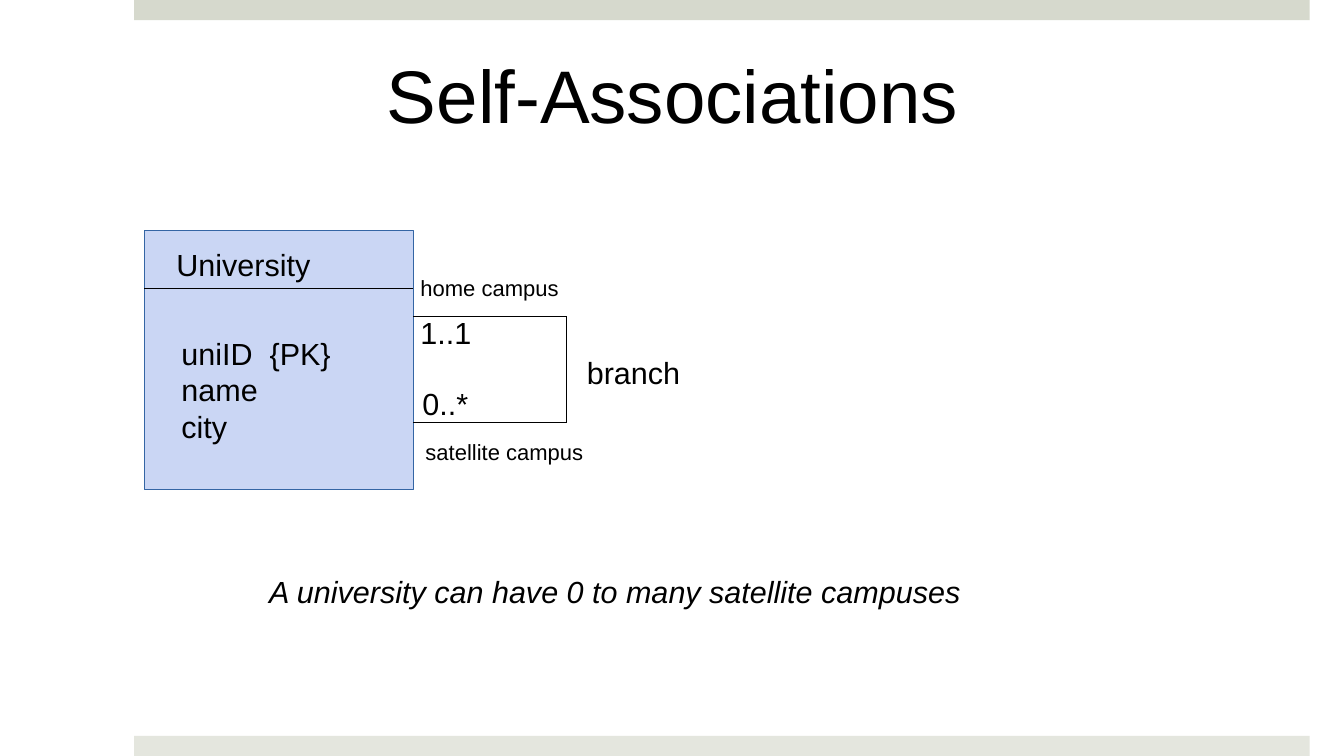
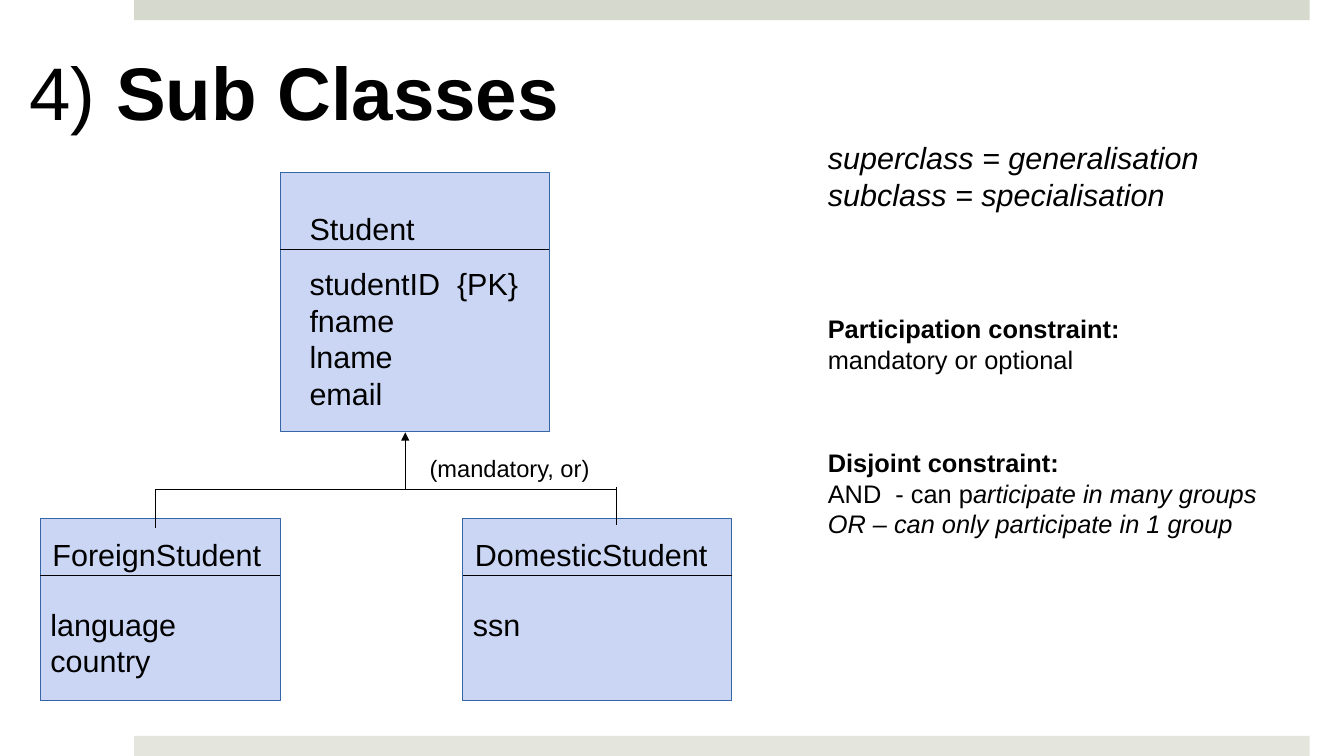
from lxml.etree import SubElement
from pptx import Presentation
from pptx.dml.color import RGBColor
from pptx.enum.shapes import MSO_CONNECTOR, MSO_SHAPE
from pptx.enum.text import MSO_ANCHOR, PP_ALIGN
from pptx.oxml.ns import qn
from pptx.util import Inches, Pt

# Shared style
BLACK = RGBColor(0x00, 0x00, 0x00)
WHITE = RGBColor(0xFF, 0xFF, 0xFF)
BAND_TOP = RGBColor(0xD6, 0xD9, 0xCD)
BAND_BOTTOM = RGBColor(0xE4, 0xE6, 0xDE)
CLASS_FILL = RGBColor(0xCA, 0xD6, 0xF4)
CLASS_LINE = RGBColor(0x34, 0x65, 0xA4)
FONT = "Arial"
TITLE_SIZE, BODY_SIZE, NOTE_SIZE, LABEL_SIZE, ROLE_SIZE = 53.2, 21.8, 18.1, 16.9, 15.7
LINE_WIDTH = Pt(0.75)
SLIDE_W, SLIDE_H = 13.33, 7.5


def add_text(s, box, paras, size=BODY_SIZE, italic=False, inset=(0.12, 0.06),
             align=PP_ALIGN.LEFT, anchor=MSO_ANCHOR.TOP):
    """Each paragraph is a string or a list of (text, style); style holds b and/or i."""
    tf = s.shapes.add_textbox(*map(Inches, box)).text_frame
    tf.word_wrap = True
    tf.vertical_anchor = anchor
    tf.margin_left = tf.margin_right = Inches(inset[0])
    tf.margin_top = tf.margin_bottom = Inches(inset[1])
    for i, para in enumerate(paras):
        p = tf.paragraphs[0] if i == 0 else tf.add_paragraph()
        p.alignment = align
        p.font.name, p.font.size = FONT, Pt(size)
        p.font.color.rgb = BLACK
        p.font.italic = italic
        for text, style in [(para, "")] if isinstance(para, str) else para:
            r = p.add_run()
            r.text = text
            if "b" in style:
                r.font.bold = True
            if "i" in style:
                r.font.italic = True


def add_rect(s, box, fill, line=None):
    sp = s.shapes.add_shape(MSO_SHAPE.RECTANGLE, *map(Inches, box))
    sp.shadow.inherit = False
    sp.fill.solid()
    sp.fill.fore_color.rgb = fill
    if line is None:
        sp.line.fill.background()
    else:
        sp.line.color.rgb = line
        sp.line.width = LINE_WIDTH


def add_line(s, x1, y1, x2, y2, arrow=False):
    """Line between two points; arrow puts a triangle at the first one."""
    c = s.shapes.add_connector(MSO_CONNECTOR.STRAIGHT, *map(Inches, (x1, y1, x2, y2)))
    c.line.color.rgb = BLACK
    c.line.width = LINE_WIDTH
    if arrow:
        SubElement(c.line._get_or_add_ln(), qn("a:headEnd"), type="triangle")
    SubElement(c._element.spPr, qn("a:effectLst"))


def add_class(s, box, name, attributes, divider, name_at, attributes_at):
    """Class box; the divider and both text offsets are measured from its corner."""
    x, y, w, h = box
    add_rect(s, box, CLASS_FILL, CLASS_LINE)
    add_line(s, x, y + divider, x + w, y + divider)
    for (dx, dy), lines in ((name_at, [name]), (attributes_at, attributes)):
        add_text(s, (x + dx, y + dy, w + 0.16, 0.12 + 0.36 * len(lines)), lines)


def add_base(prs, title, title_at, align):
    """Blank slide with the two bands and the title."""
    s = prs.slides.add_slide(prs.slide_layouts[6])
    s.background.fill.solid()
    s.background.fill.fore_color.rgb = WHITE
    for y, color in ((0, BAND_TOP), (SLIDE_H - 0.2, BAND_BOTTOM)):
        add_rect(s, (1.33, y, 11.66, 0.2), color)
    add_text(s, (*title_at, 12, 1.25), [title], TITLE_SIZE, inset=(0, 0),
             align=align, anchor=MSO_ANCHOR.MIDDLE)
    return s


def add_self_loop(s, x, y, w, h):
    """Association that leaves a class at its right edge and returns to it."""
    right, bottom = x + w, y + h
    add_line(s, x, y, right, y)
    add_line(s, right, y, right, bottom)
    add_line(s, x, bottom, right, bottom)
    add_text(s, (x - 0.05, y - 0.08, 1.02, 0.46), ["1..1"])
    add_text(s, (x - 0.03, bottom - 0.43, 1.31, 0.46), ["0..*"])
    add_text(s, (right + 0.08, y + 0.31, 1.61, 0.46), ["branch"])
    add_text(s, (x - 0.05, y - 0.48, 2.51, 0.36), ["home campus"], ROLE_SIZE)
    add_text(s, (x, bottom + 0.1, 2.67, 0.36), ["satellite campus"], ROLE_SIZE)


def add_subclass_tree(s, x, y, w, stem_x, stem_top):
    """Bar over the subclasses with an arrow up to the superclass."""
    add_line(s, stem_x, stem_top, stem_x, y, arrow=True)
    add_line(s, x, y, x + w, y)
    add_line(s, x, y, x, y + 0.38)
    add_line(s, x + w, y - 0.03, x + w, y + 0.35)
    add_text(s, (stem_x + 0.12, y - 0.42, 2.28, 0.46), ["(mandatory, or)"], LABEL_SIZE)


def add_constraints(s, x, y):
    """Column of definitions on the right."""
    add_text(s, (x, y, 4.45, 0.8),
             ["superclass = generalisation", "subclass = specialisation"], italic=True)
    add_text(s, (x, y + 1.73, 3.22, 0.96),
             [[("Participation constraint:", "b")], "mandatory or optional"], NOTE_SIZE)
    add_text(s, (x, y + 3.06, 4.52, 1.24),
             [[("Disjoint constraint:", "b")],
              [("AND  - can p", ""), ("articipate in many groups", "i")],
              [("OR – can only participate in 1 group", "i")]], NOTE_SIZE)


def self_associations(prs):
    s = add_base(prs, "Self-Associations", (0.67, 0.3), PP_ALIGN.CENTER)
    add_class(s, (1.43, 2.29, 2.67, 2.57), "University", ["uniID  {PK}", "name", "city"],
              0.57, (0.2, 0.09), (0.25, 0.97))
    add_self_loop(s, 4.1, 3.14, 1.52, 1.05)
    add_text(s, (2.55, 5.62, 8.23, 0.47),
             ["A university can have 0 to many satellite campuses"], italic=True)


def sub_classes(prs):
    s = add_base(prs, [("4) ", ""), ("Sub Classes", "b")], (0.29, 0.27), PP_ALIGN.LEFT)
    add_class(s, (2.78, 1.71, 2.67, 2.57), "Student",
              ["studentID  {PK}", "fname", "lname", "email"],
              0.77, (0.17, 0.31), (0.17, 0.86))
    for x, w, name, attributes in ((0.4, 2.38, "ForeignStudent", ["language", "country"]),
                                   (4.59, 2.67, "DomesticStudent", ["ssn"])):
        add_class(s, (x, 5.14, w, 1.81), name, attributes,
                  0.57, (0, 0.12), (-0.02, 0.81))
    add_subclass_tree(s, 1.54, 4.86, 4.57, 4.02, 4.29)
    add_constraints(s, 8.09, 1.32)


def main():
    prs = Presentation()
    prs.slide_width, prs.slide_height = Inches(SLIDE_W), Inches(SLIDE_H)
    self_associations(prs)
    sub_classes(prs)
    prs.save("out.pptx")


if __name__ == "__main__":
    main()
